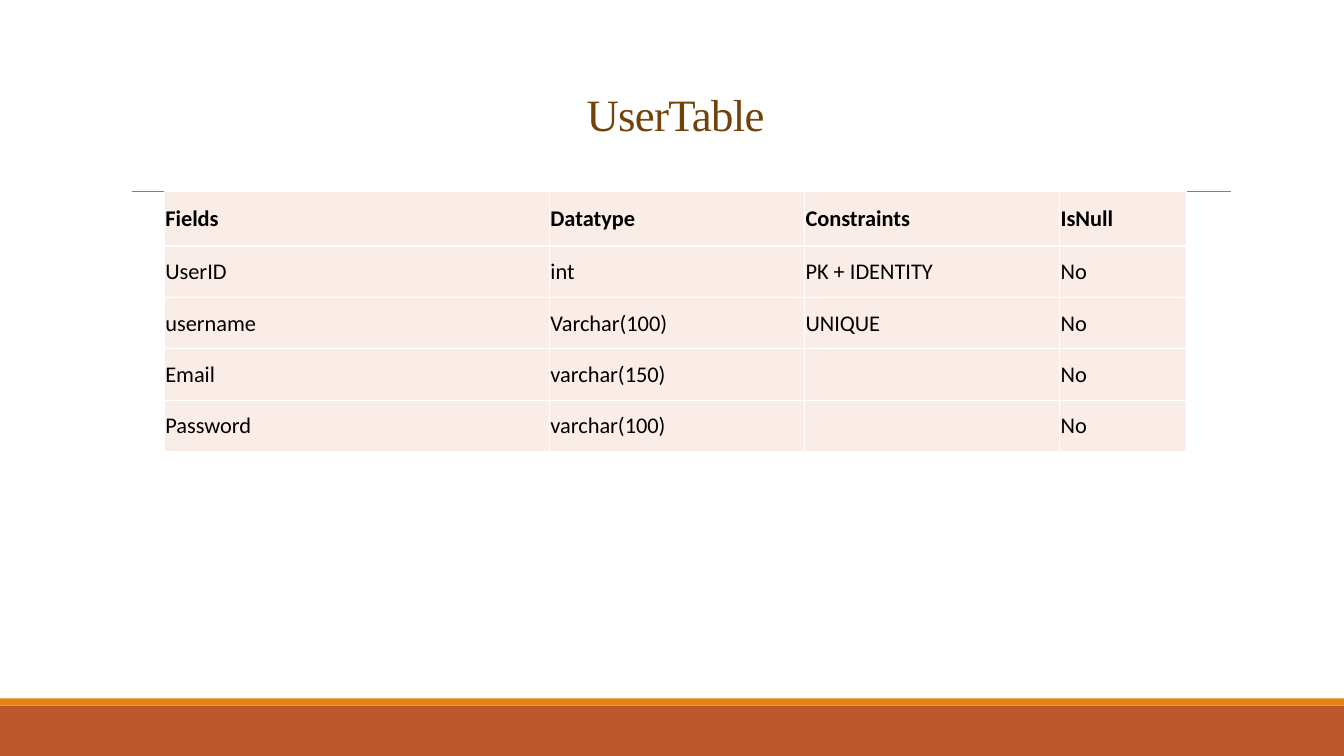
from lxml import etree
from pptx import Presentation
from pptx.dml.color import RGBColor
from pptx.enum.shapes import MSO_CONNECTOR, MSO_SHAPE
from pptx.enum.text import MSO_ANCHOR, PP_ALIGN
from pptx.oxml.ns import qn
from pptx.util import Pt

RECTANGLE = MSO_SHAPE.RECTANGLE
STRAIGHT = MSO_CONNECTOR.STRAIGHT
MIDDLE, BOTTOM = MSO_ANCHOR.MIDDLE, MSO_ANCHOR.BOTTOM
CENTER = PP_ALIGN.CENTER

EMU_PER_PX = 9144  # 100 px to the inch
TITLE_ONLY_LAYOUT = 5
SLIDE_WIDTH, SLIDE_HEIGHT = 1333, 750

FIELD_ROWS = [
    ("Fields", "Datatype", "Constraints", "IsNull"),
    ("UserID", "int", "PK + IDENTITY", "No"),
    ("username", "Varchar(100)", "UNIQUE", "No"),
    ("Email", "varchar(150)", "", "No"),
    ("Password", "varchar(100)", "", "No"),
]
COLUMN_WIDTHS = [382, 253, 253, 126]
ROW_HEIGHTS = [54] + [51] * 4


def px(length):
    return length * EMU_PER_PX


def color(hex_string):
    return RGBColor.from_string(hex_string)


class SlideBuilder:
    title_font, title_size, title_color = "Times New Roman", 32, "724209"
    table_font, table_size, table_color = "Calibri", 16, "000000"
    cell_fill, border_color, border_points = "FAEDE7", "FFFFFF", 1

    def __init__(self, slide):
        self.slide = slide

    def band(self, top, height, fill):
        """Draw a bar across the full width of the slide."""
        shape = self.slide.shapes.add_shape(
            RECTANGLE, 0, px(top), px(SLIDE_WIDTH), px(height))
        shape.shadow.inherit = False
        shape.fill.solid()
        shape.fill.fore_color.rgb = color(fill)
        shape.line.fill.background()

    def rule(self, left, right, y, line_color, points):
        """Draw a horizontal line."""
        connector = self.slide.shapes.add_connector(
            STRAIGHT, px(left), px(y), px(right), px(y))
        connector.line.color.rgb = color(line_color)
        connector.line.width = Pt(points)
        properties = connector._element.find(qn("p:spPr"))
        etree.SubElement(properties, qn("a:effectLst"))

    def style_run(self, run, font, size, font_color, bold=False):
        run.font.name = font
        run.font.size = Pt(size)
        run.font.bold = bold
        run.font.color.rgb = color(font_color)

    def title(self, text, left, top, width, height):
        shape = self.slide.shapes.title
        shape.left, shape.top = px(left), px(top)
        shape.width, shape.height = px(width), px(height)
        frame = shape.text_frame
        frame.text = text
        frame.vertical_anchor = BOTTOM
        paragraph = frame.paragraphs[0]
        paragraph.alignment = CENTER
        paragraph.line_spacing = 0.85
        run = paragraph.runs[0]
        self.style_run(run, self.title_font, self.title_size, self.title_color)
        run.font._element.set("spc", "-50")

    def cell_borders(self, cell):
        properties = cell._tc.get_or_add_tcPr()
        for side in ("a:lnL", "a:lnR", "a:lnT", "a:lnB"):
            line = etree.SubElement(
                properties, qn(side), w=str(Pt(self.border_points)))
            fill = etree.SubElement(line, qn("a:solidFill"))
            etree.SubElement(fill, qn("a:srgbClr"), val=self.border_color)

    def cell(self, cell, text, bold):
        self.cell_borders(cell)
        cell.fill.solid()
        cell.fill.fore_color.rgb = color(self.cell_fill)
        cell.vertical_anchor = MIDDLE
        cell.margin_left = cell.margin_right = cell.margin_top = px(1)
        cell.margin_bottom = 0
        cell.text_frame.text = text
        for run in cell.text_frame.paragraphs[0].runs:
            self.style_run(run, self.table_font, self.table_size,
                           self.table_color, bold)

    def table(self, rows, left, top, widths, heights):
        """Fill a table whose first row is bold."""
        table = self.slide.shapes.add_table(
            len(heights), len(widths), px(left), px(top),
            px(sum(widths)), px(sum(heights))).table
        table.horz_banding = False
        table.first_row = False
        for column, width in zip(table.columns, widths):
            column.width = px(width)
        for row, height in zip(table.rows, heights):
            row.height = px(height)
        for row_index, texts in enumerate(rows):
            for column_index, text in enumerate(texts):
                self.cell(table.cell(row_index, column_index), text,
                          bold=row_index == 0)


def main():
    presentation = Presentation()
    presentation.slide_width = px(SLIDE_WIDTH)
    presentation.slide_height = px(SLIDE_HEIGHT)
    layout = presentation.slide_layouts[TITLE_ONLY_LAYOUT]
    builder = SlideBuilder(presentation.slides.add_slide(layout))

    builder.band(700, 50, "BD582C")
    builder.band(693, 7, "E48312")
    builder.rule(131, 1221, 190, "808080", 0.5)
    builder.title("UserTable", 120, 53, 1100, 92)
    builder.table(FIELD_ROWS, 163, 190, COLUMN_WIDTHS, ROW_HEIGHTS)

    presentation.save("out.pptx")


if __name__ == "__main__":
    main()
